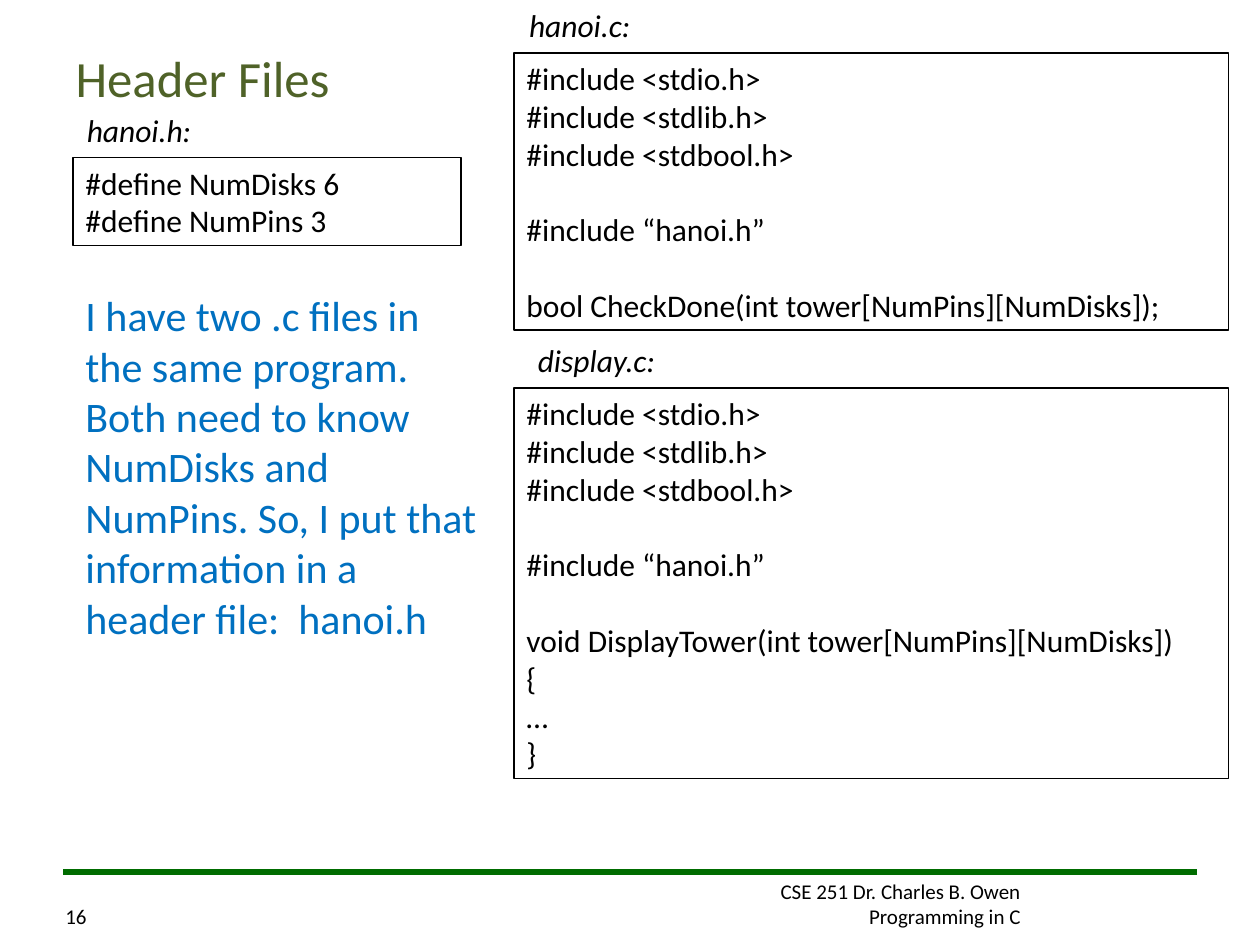
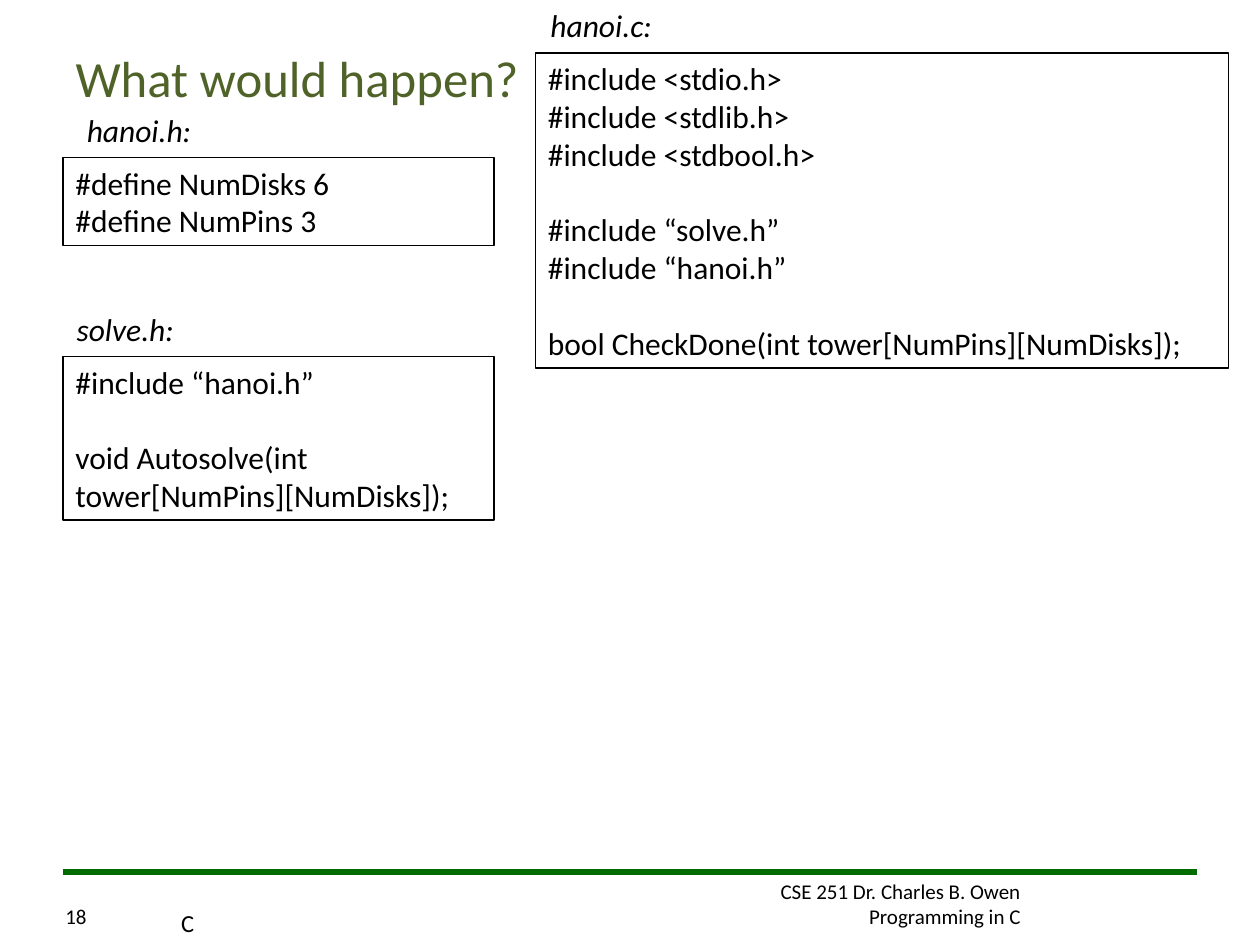
from math import ceil

from lxml.etree import SubElement
from pptx import Presentation
from pptx.dml.color import RGBColor
from pptx.enum.shapes import MSO_CONNECTOR, MSO_SHAPE
from pptx.enum.text import MSO_ANCHOR, MSO_AUTO_SIZE, PP_ALIGN
from pptx.oxml.ns import qn
from pptx.util import Inches, Pt

COLORS = {"title": "4F6228", "text": "000000", "note": "0070C0", "rule": "006C00"}
FONT = "Calibri"
CODE_SIZE = 18
LINE_HEIGHT = 0.3
CHARS_PER_INCH = 12
FOOTER_TOP = 6.92
FOOTER = ["CSE 251 Dr. Charles B. Owen", "Programming in C"]

STD_INCLUDES = ["#include <stdio.h>", "#include <stdlib.h>", "#include <stdbool.h>"]
DEFINES = [["#define NumDisks 6", "#define NumPins 3"]]
CHECK_DONE = ["bool CheckDone(int tower[NumPins][NumDisks]);"]

SLIDES = [
    {
        "title": "Header Files",
        "number": "16",
        "files": [
            {"name": "hanoi.h:", "box": (0.58, 1.25, 3.08), "label": (0.59, 1.05),
             "code": DEFINES},
            {"name": "hanoi.c:", "box": (4.08, 0.42, 5.67), "label": (4.1, 1.05),
             "code": [STD_INCLUDES, ["#include “hanoi.h”"], CHECK_DONE]},
            {"name": "display.c:", "box": (4.08, 3.08, 5.67), "label": (4.17, 1.17),
             "code": [STD_INCLUDES, ["#include “hanoi.h”"],
                      ["void DisplayTower(int tower[NumPins][NumDisks])", "{", "…", "}"]]},
        ],
        "notes": [
            {"text": "I have two .c files in the same program. Both need to know NumDisks "
                     "and NumPins. So, I put that information in a header file:  hanoi.h",
             "at": (0.58, 2.25, 3.33, 2.9), "size": 24, "color": "note"},
        ],
    },
    {
        "title": "What would happen?",
        "number": "18",
        "files": [
            {"name": "hanoi.h:", "box": (0.5, 1.25, 3.42), "label": (0.59, 1.05),
             "code": DEFINES},
            {"name": "hanoi.c:", "box": (4.25, 0.42, 5.5), "label": (4.27, 1.05),
             "code": [STD_INCLUDES, ["#include “solve.h”", "#include “hanoi.h”"], CHECK_DONE]},
            {"name": "solve.h:", "box": (0.5, 2.83, 3.42), "label": (0.51, 1),
             "code": [["#include “hanoi.h”"],
                      ["void Autosolve(int tower[NumPins][NumDisks]);"]]},
        ],
        "notes": [
            {"text": "C", "at": (1.34, 7.16, 0.33, 0.34), "size": 14, "color": "text"},
        ],
    },
]


def rgb(name):
    return RGBColor.from_string(COLORS[name])


def write(tf, groups, size, color="text", italic=False, align=PP_ALIGN.LEFT):
    first = True
    for g, lines in enumerate(groups):
        for i, line in enumerate(lines):
            p = tf.paragraphs[0] if first else tf.add_paragraph()
            first = False
            p.alignment = align
            if g and not i:
                p.space_before = Inches(LINE_HEIGHT)
            r = p.add_run()
            r.text = line
            r.font.name = FONT
            r.font.size = Pt(size)
            r.font.italic = italic
            r.font.color.rgb = rgb(color)


def add_text(s, at, lines, size, wrap=True, anchor=MSO_ANCHOR.TOP, **style):
    tf = s.shapes.add_textbox(*map(Inches, at)).text_frame
    tf.word_wrap = wrap
    tf.auto_size = MSO_AUTO_SIZE.NONE
    tf.vertical_anchor = anchor
    write(tf, [lines], size, **style)


def add_footer(s, number):
    add_text(s, (4.83, FOOTER_TOP, 3.37, 0.5), FOOTER, 12, align=PP_ALIGN.RIGHT)
    line = s.shapes.add_connector(MSO_CONNECTOR.STRAIGHT, Inches(9.5), Inches(FOOTER_TOP),
                                  Inches(0.5), Inches(FOOTER_TOP))
    line.line.color.rgb = rgb("rule")
    line.line.width = Pt(3)
    SubElement(line._element.spPr, qn("a:effectLst"))
    add_text(s, (0.42, FOOTER_TOP, 0.4, 0.5), [number], 12, anchor=MSO_ANCHOR.BOTTOM)


def add_title(s, text):
    sp = s.shapes.title
    sp.left, sp.top, sp.width, sp.height = map(Inches, (0.5, 0.3, 9, 0.62))
    sp.text_frame.vertical_anchor = MSO_ANCHOR.MIDDLE
    sp.text_frame.auto_size = MSO_AUTO_SIZE.NONE
    write(sp.text_frame, [[text]], 29, "title")


def add_code(s, file):
    left, top, width = file["box"]
    groups = file["code"]
    rows = len(groups) - 1 + sum(
        ceil(len(line) / (width * CHARS_PER_INCH)) for lines in groups for line in lines)
    sp = s.shapes.add_shape(MSO_SHAPE.RECTANGLE, Inches(left), Inches(top),
                            Inches(width), Inches(rows * LINE_HEIGHT + 0.1))
    sp.shadow.inherit = False
    sp.fill.background()
    sp.line.color.rgb = rgb("text")
    sp.line.width = Pt(1)
    tf = sp.text_frame
    tf.word_wrap = True
    tf.vertical_anchor = MSO_ANCHOR.TOP
    write(tf, groups, CODE_SIZE)


def add_label(s, file):
    left, width = file["label"]
    add_text(s, (left, file["box"][1] - 0.42, width, 0.4), [file["name"]], CODE_SIZE,
             wrap=False, italic=True)


def main():
    prs = Presentation()
    prs.slide_width, prs.slide_height = Inches(10), Inches(7.5)
    for content in SLIDES:
        s = prs.slides.add_slide(prs.slide_layouts[5])
        add_footer(s, content["number"])
        add_title(s, content["title"])
        for file in content["files"]:
            add_code(s, file)
            add_label(s, file)
        for note in content["notes"]:
            add_text(s, note["at"], [note["text"]], note["size"], color=note["color"])
    prs.save("out.pptx")


if __name__ == "__main__":
    main()
